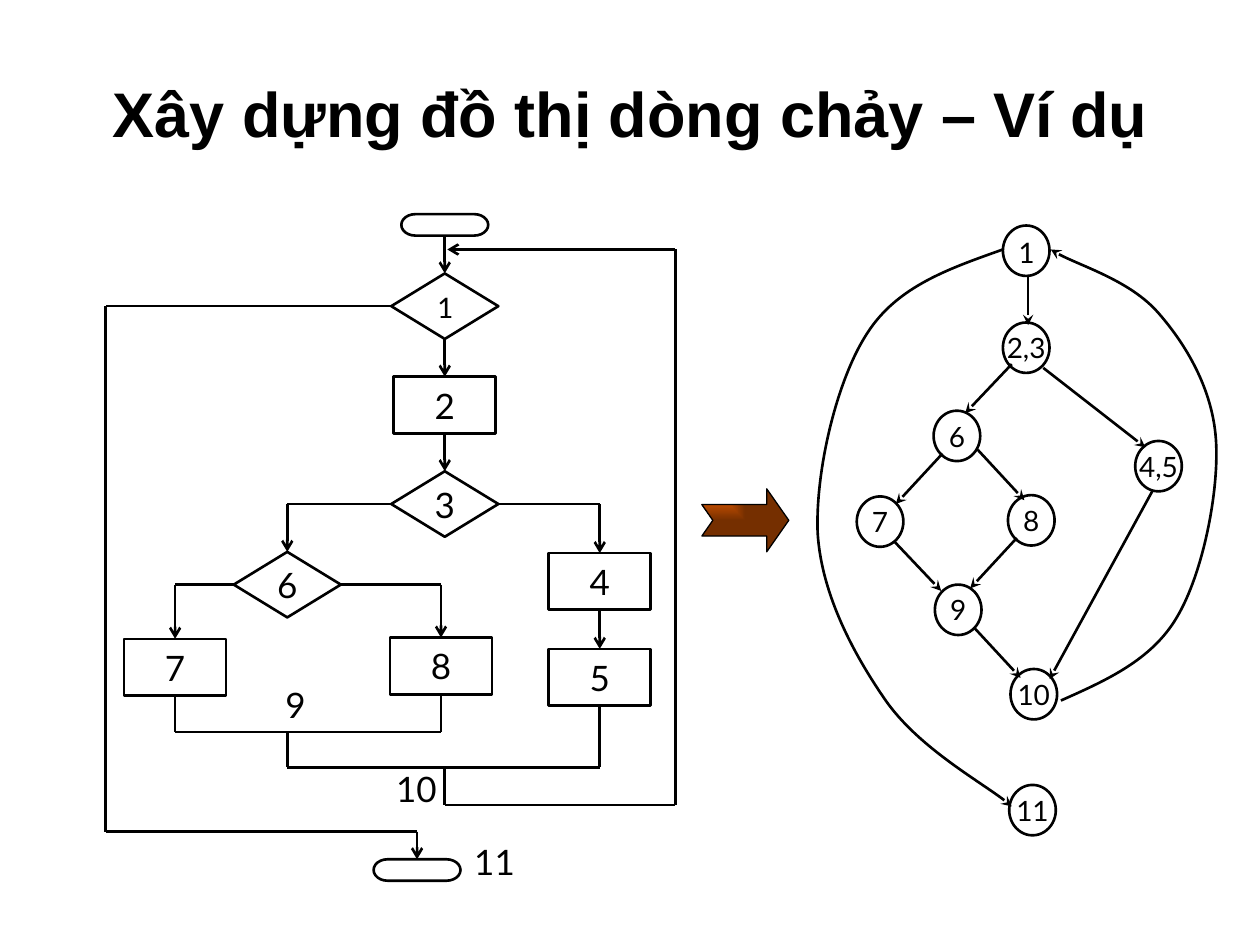
import pptx
import pptx.dml.color
import pptx.enum.shapes
import pptx.enum.text
import pptx.oxml.ns
import pptx.oxml.xmlchemy
import pptx.util

PX = 9144  # 100 px to the inch
BLACK = pptx.dml.color.RGBColor(0x00, 0x00, 0x00)
ORANGE = pptx.dml.color.RGBColor(0xFF, 0x66, 0x00)
BROWN = pptx.dml.color.RGBColor(0x75, 0x2F, 0x00)

SHAPE = pptx.enum.shapes.MSO_SHAPE
TOP, LEFT, BOTTOM, RIGHT = range(4)
qn = pptx.oxml.ns.qn


def px(value):
    return pptx.util.Emu(round(value * PX))


def new_element(tag, **attributes):
    element = pptx.oxml.xmlchemy.OxmlElement(tag)
    for name, value in attributes.items():
        element.set(name, value)
    return element


def write(shape, text, size, font="Lato", bold=False, wrap=False):
    frame = shape.text_frame
    frame.word_wrap = wrap
    frame.vertical_anchor = pptx.enum.text.MSO_ANCHOR.MIDDLE
    para = frame.paragraphs[0]
    para.text = text
    para.alignment = pptx.enum.text.PP_ALIGN.CENTER
    para.font.name = font
    para.font.size = pptx.util.Pt(size)
    para.font.bold = bold
    para.font.color.rgb = BLACK


def add_text(shapes, left, top, width, height, text, size, **style):
    box = shapes.add_textbox(px(left), px(top), px(width), px(height))
    write(box, text, size, **style)


def draw_line(shape, weight=1.5, arrow=None):
    shape.line.color.rgb = BLACK
    shape.line.width = pptx.util.Pt(weight)
    if arrow:
        line = shape._element.spPr.find(qn("a:ln"))
        line.append(new_element("a:tailEnd", type=arrow))


def add_node(shapes, kind, left, top, width, height):
    node = shapes.add_shape(kind, px(left), px(top), px(width), px(height))
    node.shadow.inherit = False
    node.fill.background()
    draw_line(node)
    return node


def add_link(shapes, start, end, arrow=None):
    link = shapes.add_connector(
        pptx.enum.shapes.MSO_CONNECTOR.STRAIGHT, *map(px, (*start, *end)))
    draw_line(link, arrow=arrow)
    link._element.spPr.append(new_element("a:effectLst"))
    return link


def add_curve(shapes, points):
    """Draw Bézier arcs: a start point, then three points for each arc."""
    start, *rest = [(px(x), px(y)) for x, y in points]
    builder = shapes.build_freeform(*start)
    builder.add_line_segments(rest, close=False)
    curve = builder.convert_to_shape()
    curve.shadow.inherit = False
    curve.fill.background()
    draw_line(curve, arrow="stealth")
    segments = list(curve._element.iter(qn("a:lnTo")))
    for first in range(0, len(segments), 3):
        arc = new_element("a:cubicBezTo")
        segments[first].addprevious(arc)
        for segment in segments[first:first + 3]:
            arc.append(segment[0])
            segment.getparent().remove(segment)


def add_flowchart(page, left, top):
    shapes = page.shapes.add_group_shape().shapes
    sizes = {SHAPE.FLOWCHART_TERMINATOR: (69, 17),
             SHAPE.FLOWCHART_DECISION: (85, 52),
             SHAPE.RECTANGLE: (81, 45)}
    steps = {  # name: kind, centre x, top
        "start": (SHAPE.FLOWCHART_TERMINATOR, 270, 0),
        "1": (SHAPE.FLOWCHART_DECISION, 270, 47),
        "2": (SHAPE.RECTANGLE, 270, 129),
        "3": (SHAPE.FLOWCHART_DECISION, 270, 204),
        "4": (SHAPE.RECTANGLE, 393, 269),
        "5": (SHAPE.RECTANGLE, 393, 345),
        "6": (SHAPE.FLOWCHART_DECISION, 145, 268),
        "7": (SHAPE.RECTANGLE, 56, 337),
        "8": (SHAPE.RECTANGLE, 267, 336),
        "end": (SHAPE.FLOWCHART_TERMINATOR, 248, 512),
    }
    nodes = {}
    for name, (kind, centre, y) in steps.items():
        width, height = sizes[kind]
        nodes[name] = add_node(shapes, kind, left + centre - width / 2, top + y, width, height)
        if name == "1":
            write(nodes[name], name, 18, font="Calibri")
        elif name.isdigit():
            write(nodes[name], name, 20)

    # An end is either (step name, side) or a point (x, y).
    arrows = [
        (("start", BOTTOM), ("1", TOP)), (("1", BOTTOM), ("2", TOP)),
        (("2", BOTTOM), ("3", TOP)), (("4", BOTTOM), ("5", TOP)),
        ((393, 230), ("4", TOP)), ((145, 230), ("6", TOP)),
        ((267, 294), ("8", TOP)), ((56, 294), ("7", TOP)),
        ((453, 28), (272, 28)), ((248, 490), ("end", TOP)),
    ]
    lines = [
        (("3", RIGHT), (393, 230)), (("3", LEFT), (145, 230)),
        (("6", RIGHT), (267, 294)), (("6", LEFT), (56, 294)),
        (("8", BOTTOM), (267, 411)), (("7", BOTTOM), (56, 411)),
        ((56, 411), (267, 411)), ((145, 411), (145, 439)),
        (("5", BOTTOM), (393, 439)), ((145, 439), (393, 439)),
        ((270, 439), (270, 469)), ((270, 469), (453, 469)),
        ((453, 469), (453, 28)), (("1", LEFT), (1, 73)),
        ((1, 73), (1, 490)), ((1, 490), (248, 490)),
    ]
    for arrow, pairs in (("arrow", arrows), (None, lines)):
        for start, end in pairs:
            places = [(left, top) if point[0] in nodes else (left + point[0], top + point[1])
                      for point in (start, end)]
            link = add_link(shapes, *places, arrow)
            if start[0] in nodes:
                link.begin_connect(nodes[start[0]], start[1])
            if end[0] in nodes:
                link.end_connect(nodes[end[0]], end[1])

    for text, x, y in (("9", 111, 368), ("10", 207, 434), ("11", 269, 492)):
        add_text(shapes, left + x, top + y, 81, 43, text, 20)


def add_flow_graph(page, left, top):
    shapes = page.shapes.add_group_shape().shapes
    nodes = {"1": (149, 0), "2,3": (149, 77), "4,5": (254, 171),
             "6": (94, 147), "7": (33, 215), "8": (153, 214),
             "9": (95, 285), "10": (155, 352), "11": (154, 444)}
    for name, (x, y) in nodes.items():
        circle = add_node(shapes, SHAPE.OVAL, left + x, top + y, 37, 40)
        if name == "1":
            write(circle, name, 18, font="Calibri")
        else:
            write(circle, name, 16)

    edges = [
        ((169, 39), (169, 79)), ((181, 113), (262, 176)),
        ((156, 110), (119, 149)), ((101, 181), (64, 221)),
        ((129, 178), (166, 218)), ((63, 251), (100, 290)),
        ((160, 248), (123, 288)), ((268, 210), (186, 360)),
        ((126, 319), (163, 359)),
    ]
    loop_back = [(195, 377), (231, 361), (267, 345), (287, 311),
                 (308, 276), (321, 209), (318, 169),
                 (315, 129), (294, 94), (272, 69),
                 (250, 44), (201, 29), (187, 19)]
    way_out = [(149, 19), (107, 34), (65, 48), (41, 86),
               (17, 123), (0, 195), (2, 244),
               (5, 293), (31, 341), (56, 377),
               (82, 414), (141, 447), (156, 461)]
    for edge in edges:
        add_link(shapes, *[(left + x, top + y) for x, y in edge], "stealth")
    for curve in (loop_back, way_out):
        add_curve(shapes, [(left + x, top + y) for x, y in curve])


def add_block_arrow(page, left, top, width, height):
    arrow = add_node(page.shapes, SHAPE.NOTCHED_RIGHT_ARROW, left, top, width, height)
    arrow.adjustments[0] = 0.5
    arrow.adjustments[1] = 0.35
    draw_line(arrow, weight=0.75)
    arrow.fill.gradient()
    for stop, colour in zip(arrow.fill.gradient_stops, (ORANGE, BROWN)):
        stop.color.rgb = colour
    gradient = arrow._element.spPr.find(qn("a:gradFill"))
    shade = new_element("a:path", path="rect")
    shade.append(new_element("a:fillToRect", r="100000", b="100000"))
    gradient.replace(gradient.find(qn("a:lin")), shade)


def main():
    deck = pptx.Presentation()
    deck.slide_width, deck.slide_height = px(1000), px(750)
    page = deck.slides.add_slide(deck.slide_layouts[6])
    add_text(page.shapes, 63, 33, 875, 113, "Xây dựng đồ thị dòng chảy – Ví dụ", 36,
             font="Arial", bold=True, wrap=True)
    add_flowchart(page, 83, 170)
    add_flow_graph(page, 647, 179)
    add_block_arrow(page, 557, 388, 69, 50)
    deck.save("out.pptx")


if __name__ == "__main__":
    main()
